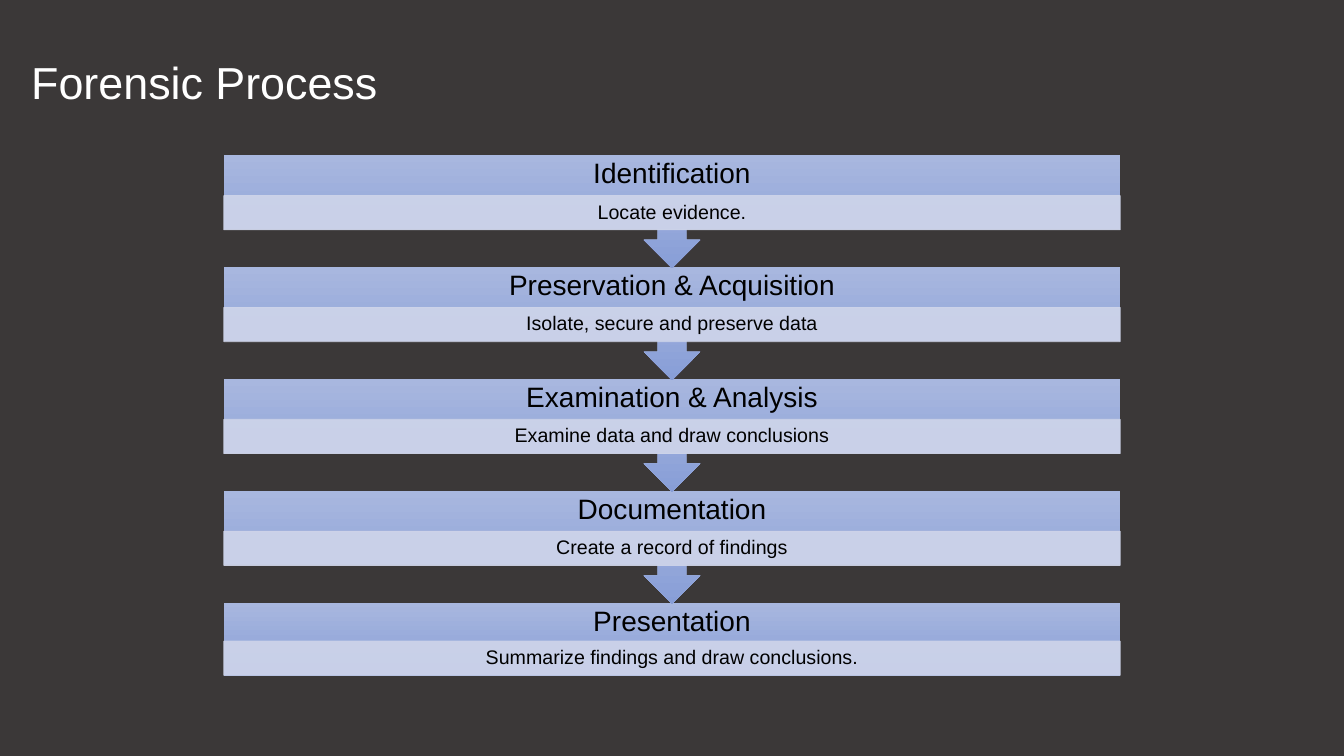
import pptx
import pptx.util
import pptx.dml.color
import pptx.enum.shapes
import pptx.enum.text
import pptx.oxml.ns
import lxml.etree

Inches = pptx.util.Inches
Pt = pptx.util.Pt
RGBColor = pptx.dml.color.RGBColor
KIND = pptx.enum.shapes.MSO_SHAPE
ALIGN = pptx.enum.text.PP_ALIGN
MIDDLE = pptx.enum.text.MSO_ANCHOR.MIDDLE

DARK = RGBColor(0x3B, 0x38, 0x38)
WHITE = RGBColor(0xFF, 0xFF, 0xFF)
BLACK = RGBColor(0x00, 0x00, 0x00)
LIGHT = RGBColor(0xA8, 0xB7, 0xDF)
DEEP = RGBColor(0x88, 0x9E, 0xD7)
PALE = RGBColor(0xCF, 0xD5, 0xEA)

STEPS = [
    ("Identification", "Locate evidence."),
    ("Preservation & Acquisition", "Isolate, secure and preserve data"),
    ("Examination & Analysis", "Examine data and draw conclusions"),
    ("Documentation", "Create a record of findings"),
    ("Presentation", "Summarize findings and draw conclusions."),
]
PITCH = 1.11
TALL = 1.12
BODY = 0.73
BAR = 0.34


def write(shape, text, size, color, align):
    frame = shape.text_frame
    frame.word_wrap = True
    frame.vertical_anchor = MIDDLE
    frame.text = text
    line = frame.paragraphs[0]
    line.alignment = align
    line.line_spacing = 0.9
    line.font.name = "Arial"
    line.font.size = Pt(size)
    line.font.color.rgb = color


def fade(shape, share):
    for color in shape.element.spPr.iter(pptx.oxml.ns.qn("a:srgbClr")):
        alpha = lxml.etree.SubElement(color, pptx.oxml.ns.qn("a:alpha"))
        alpha.set("val", str(share * 1000))


def add_title(slide, left, top, width, height):
    title = slide.shapes.title
    title.left, title.top = Inches(left), Inches(top)
    title.width, title.height = Inches(width), Inches(height)
    write(title, "Forensic Process", 32, WHITE, ALIGN.LEFT)


def add_step(slide, left, top, width, name, note, last):
    kind = KIND.RECTANGLE if last else KIND.DOWN_ARROW_CALLOUT
    height = BODY if last else TALL
    head = 0.38 if last else 0.4
    block = slide.shapes.add_shape(
        kind, Inches(left), Inches(top), Inches(width), Inches(height))
    block.shadow.inherit = False
    block.line.fill.background()
    block.fill.gradient()
    block.fill.gradient_angle = 270
    for stop, color, place in zip(block.fill.gradient_stops, (LIGHT, DEEP), (0, 1)):
        stop.color.rgb = color
        stop.position = place
    write(block, name, 20, BLACK, ALIGN.CENTER)
    block.text_frame.margin_top = 0
    block.text_frame.margin_bottom = Inches(BAR)

    bar = slide.shapes.add_shape(
        KIND.RECTANGLE, Inches(left), Inches(top + head), Inches(width), Inches(BAR))
    bar.shadow.inherit = False
    bar.fill.solid()
    bar.fill.fore_color.rgb = PALE
    bar.line.color.rgb = PALE
    bar.line.width = Pt(0.5)
    fade(bar, 90)
    write(bar, note, 14, BLACK, ALIGN.CENTER)
    bar.text_frame.margin_top = bar.text_frame.margin_bottom = Inches(0.02)


def add_flow(slide, left, top, width):
    final = len(STEPS) - 1
    for i in reversed(range(len(STEPS))):
        name, note = STEPS[i]
        add_step(slide, left, top + i * PITCH, width, name, note, i == final)


def main():
    deck = pptx.Presentation()
    deck.slide_width, deck.slide_height = Inches(13.33), Inches(7.5)
    slide = deck.slides.add_slide(deck.slide_layouts[5])
    slide.background.fill.solid()
    slide.background.fill.fore_color.rgb = DARK
    add_title(slide, 0.21, 0.4, 8.24, 0.89)
    add_flow(slide, 2.22, 1.54, 8.89)
    deck.save("out.pptx")


if __name__ == "__main__":
    main()
